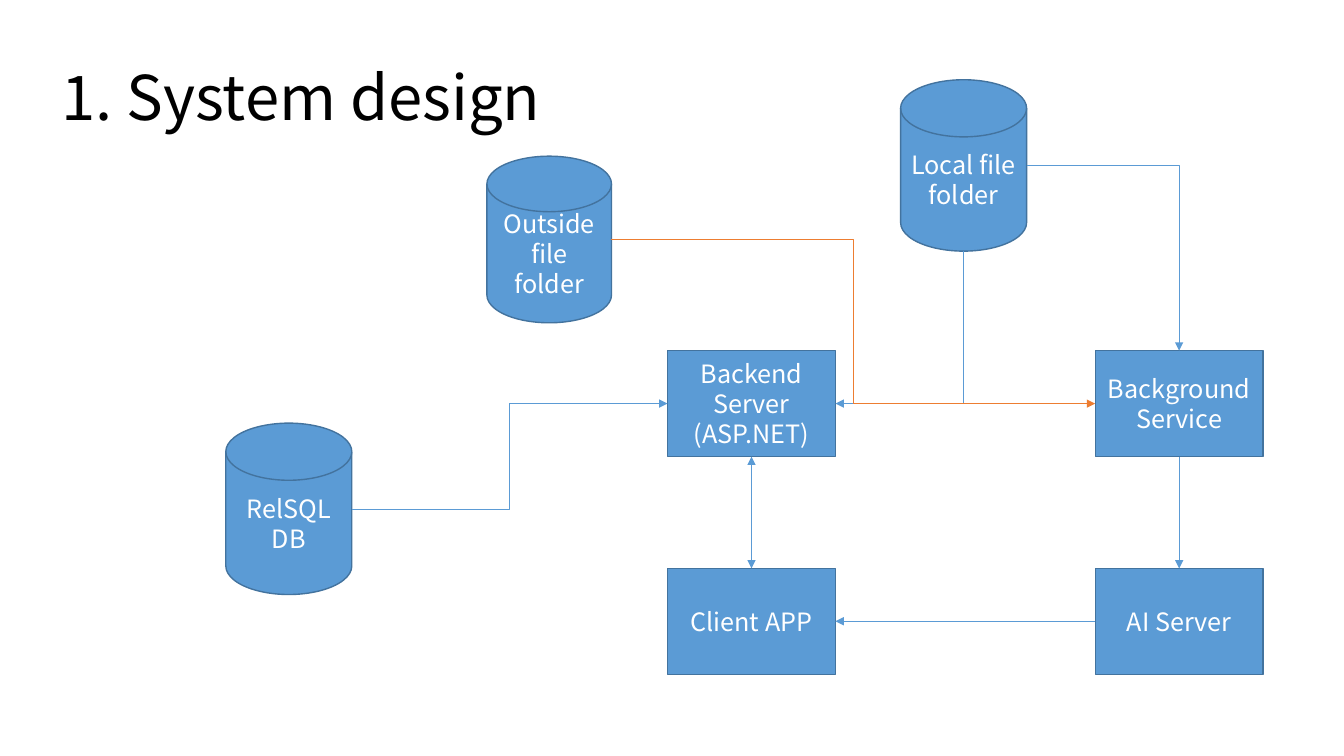
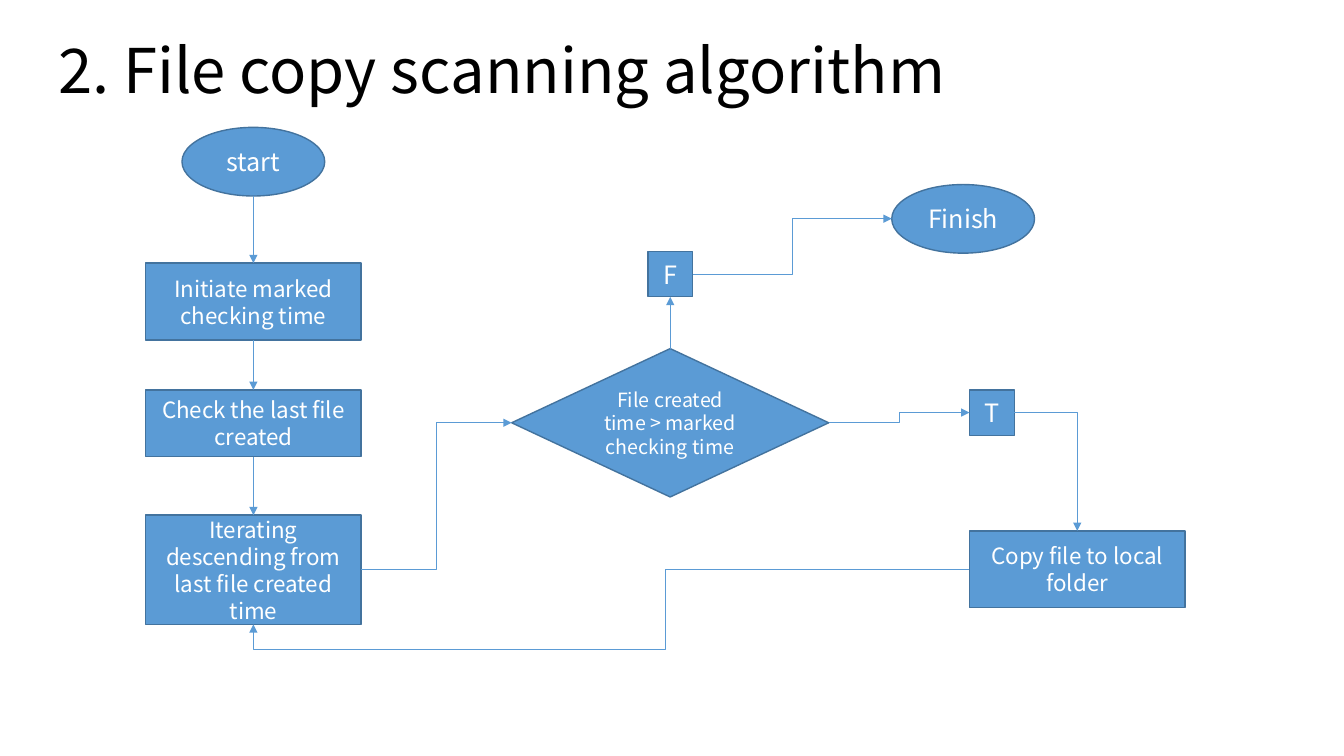
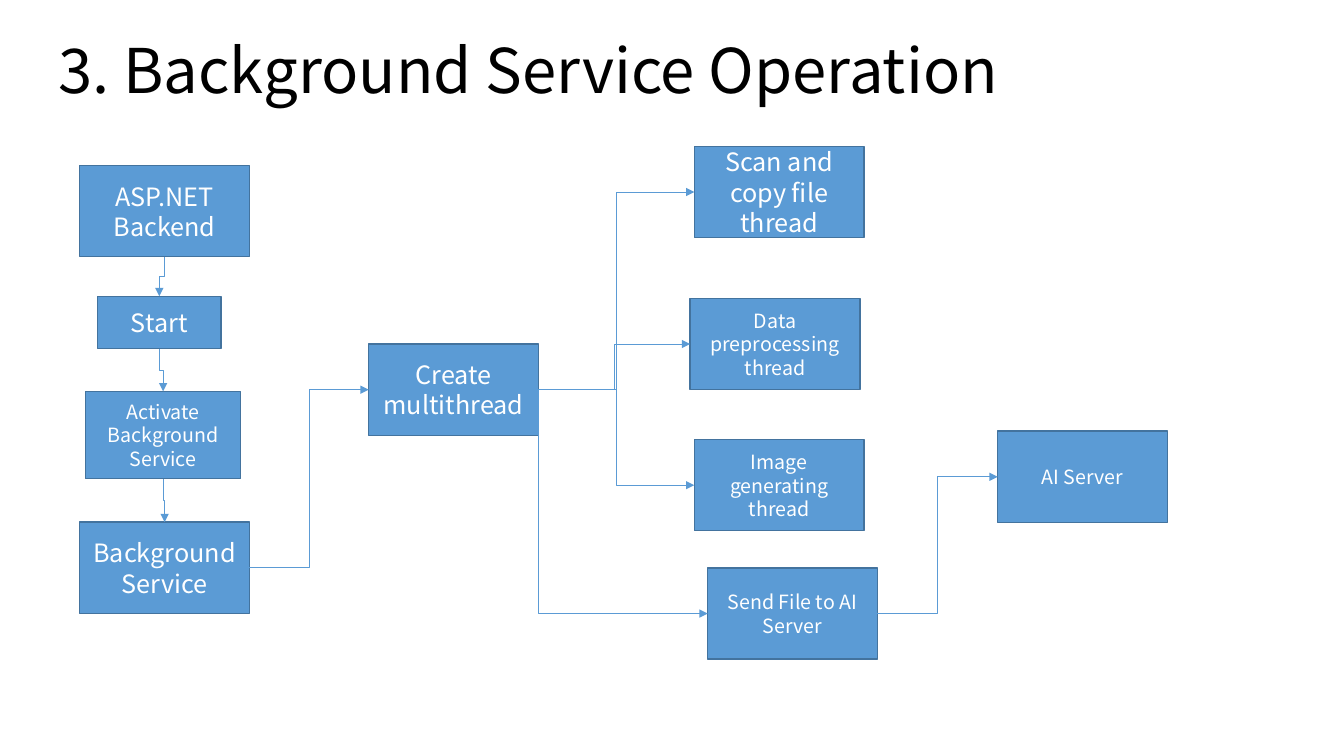
"""Build a three-slide deck of system and process diagrams."""
from dataclasses import dataclass

from lxml import etree
from pptx import Presentation
from pptx.dml.color import RGBColor
from pptx.enum.shapes import MSO_CONNECTOR, MSO_SHAPE
from pptx.enum.text import MSO_ANCHOR, MSO_AUTO_SIZE, PP_ALIGN
from pptx.oxml.ns import qn
from pptx.util import Pt

RECT = MSO_SHAPE.RECTANGLE
OVAL = MSO_SHAPE.OVAL
DISK = MSO_SHAPE.FLOWCHART_MAGNETIC_DISK
DECISION = MSO_SHAPE.FLOWCHART_DECISION
ELBOW, STRAIGHT = MSO_CONNECTOR.ELBOW, MSO_CONNECTOR.STRAIGHT
LEFT, CENTER = PP_ALIGN.LEFT, PP_ALIGN.CENTER
MIDDLE = MSO_ANCHOR.MIDDLE
NO_FIT = MSO_AUTO_SIZE.NONE

SIDES = {"top": (0.5, 0), "left": (0, 0.5), "bottom": (0.5, 1), "right": (1, 0.5)}
SITES = {
    RECT: {"top": 0, "left": 1, "bottom": 2, "right": 3},
    DECISION: {"top": 0, "left": 1, "bottom": 2, "right": 3},
    OVAL: {"top": 0, "left": 2, "bottom": 4, "right": 6},
    DISK: {"top": 1, "left": 2, "bottom": 3, "right": 4},
}


@dataclass(frozen=True)
class Theme:
    """Colours, font and sizes shared by every slide."""
    font: str = "Noto Sans CJK KR"
    text: RGBColor = RGBColor(0x00, 0x00, 0x00)
    on_fill: RGBColor = RGBColor(0xFF, 0xFF, 0xFF)
    fill: RGBColor = RGBColor(0x5B, 0x9B, 0xD5)
    border: RGBColor = RGBColor(0x43, 0x73, 0x9E)
    accent: RGBColor = RGBColor(0xED, 0x7D, 0x31)
    title: int = 44
    large: int = 18
    medium: int = 16
    small: int = 14
    border_width: float = 1
    link_width: float = 0.5


@dataclass(frozen=True)
class Box:
    """A rectangle in points."""
    x: float
    y: float
    w: float
    h: float

    def inner(self, x, y, w, h):
        """Return a box placed relative to this one."""
        return Box(self.x + x, self.y + y, w, h)


T = Theme()


def write(tf, text, size=T.large, color=T.on_fill, align=CENTER, spacing=1.0):
    """Fill a text frame with one formatted paragraph."""
    tf.word_wrap = True
    tf.auto_size = NO_FIT
    tf.vertical_anchor = MIDDLE
    p = tf.paragraphs[0]
    p.alignment = align
    p.line_spacing = spacing
    r = p.add_run()
    r.text = text
    r.font.name = T.font
    r.font.size = Pt(size)
    r.font.color.rgb = color


def titled_slide(prs, text, box):
    """Add a title-only slide with its title in the given box."""
    s = prs.slides.add_slide(prs.slide_layouts[5])
    sp = s.shapes.title
    sp.left, sp.top, sp.width, sp.height = map(Pt, (box.x, box.y, box.w, box.h))
    write(sp.text_frame, text, size=T.title, color=T.text, align=LEFT, spacing=0.9)
    return s


def node(s, text, box, kind=RECT, size=T.large):
    """Add a filled, labelled diagram node."""
    sp = s.shapes.add_shape(kind, *map(Pt, (box.x, box.y, box.w, box.h)))
    sp.shadow.inherit = False
    sp.fill.solid()
    sp.fill.fore_color.rgb = T.fill
    sp.line.color.rgb = T.border
    sp.line.width = Pt(T.border_width)
    write(sp.text_frame, text, size=size)
    return sp


def anchor(sp, side):
    """Return the midpoint of one side of a shape, in points."""
    fx, fy = SIDES[side]
    return sp.left.pt + fx * sp.width.pt, sp.top.pt + fy * sp.height.pt


def glue(line, tag, sp, side):
    """Attach one end of a connector to a side of a shape."""
    holder = line.element.find(".//" + qn("p:cNvCxnSpPr"))
    site = SITES[sp.auto_shape_type][side]
    etree.SubElement(holder, qn(tag), id=str(sp.shape_id), idx=str(site))


def link(s, start, side, end, end_side, color=T.fill, adj=(), loose_down=False,
         kind=ELBOW, both=False):
    """Connect two nodes with an arrow; loose_down leaves the start unglued, going down."""
    x1, y1 = anchor(start, side)
    x2, y2 = anchor(end, end_side)
    vertical = loose_down or side in ("top", "bottom")
    turned = vertical and kind == ELBOW
    if turned:
        cx, cy, dx, dy = (x1 + x2) / 2, (y1 + y2) / 2, x2 - x1, y2 - y1
        x1, y1, x2, y2 = cx - dy / 2, cy + dx / 2, cx + dy / 2, cy - dx / 2
    line = s.shapes.add_connector(kind, *map(Pt, (x1, y1, x2, y2)))
    if turned:
        line.element.find(".//" + qn("a:xfrm")).set("rot", "5400000")
    if kind == ELBOW:
        geom = line.element.find(".//" + qn("a:prstGeom"))
        same_axis = vertical == (end_side in ("top", "bottom"))
        bends = 4 if len(adj) == 2 else 3 if same_axis else 2
        geom.set("prst", f"bentConnector{bends}")
        for i, value in enumerate(adj, 1):
            etree.SubElement(geom.find(qn("a:avLst")), qn("a:gd"),
                             name=f"adj{i}", fmla=f"val {round(value * 100000)}")
    if not loose_down:
        glue(line, "a:stCxn", start, side)
    glue(line, "a:endCxn", end, end_side)
    line.line.color.rgb = color
    line.line.width = Pt(T.link_width)
    ln = line.element.find(".//" + qn("a:ln"))
    for tag in ("a:headEnd", "a:tailEnd") if both else ("a:tailEnd",):
        etree.SubElement(ln, qn(tag), type="triangle")
    etree.SubElement(line.element.find(qn("p:spPr")), qn("a:effectLst"))


def system_design(s, box):
    """Draw the stores, servers and client of the system."""
    def server(text, col, row):
        """Add a server on the two-by-two grid."""
        return node(s, text, box.inner(315.5 + col * 305.5, 193.5 + row * 155.5, 120, 75.6))

    outside = node(s, "Outside file folder", box.inner(186.5, 54.6, 89, 119), DISK)
    local = node(s, "Local file folder", box.inner(482, 0, 90, 122.4), DISK)
    database = node(s, "RelSQL DB", box.inner(0, 245.3, 90, 122.4), DISK)
    backend = server("Backend Server (ASP.NET)", 0, 0)
    client = server("Client APP", 0, 1)
    ai = server("AI Server", 1, 1)
    background = server("Background Service", 1, 0)

    link(s, database, "right", backend, "left")
    link(s, local, "bottom", backend, "right")
    link(s, local, "right", background, "top")
    link(s, outside, "right", background, "left", color=T.accent)
    link(s, background, "bottom", ai, "top")
    link(s, ai, "left", client, "right")
    link(s, backend, "bottom", client, "top", kind=STRAIGHT, both=True)


def copy_algorithm(s, box):
    """Draw the flowchart of the file copy scan."""
    def step(text, x, y, h):
        """Add a process step."""
        return node(s, text, box.inner(x, y, 154, h), size=T.medium)

    def terminal(text, x, y):
        """Add a start or end point."""
        return node(s, text, box.inner(x, y, 102, 49), OVAL)

    def branch(text, x, y):
        """Add a branch label."""
        return node(s, text, box.inner(x, y, 32, 32.5))

    start = terminal("start", 26, 0)
    initiate = step("Initiate marked checking time", 0, 97, 55)
    check = step("Check the last file created", 0, 187.5, 47.7)
    iterate = step("Iterating descending from last file created time", 0, 277, 78)
    decision = node(s, "File created time > marked checking time",
                    box.inner(261.5, 158, 226.5, 106), DECISION, T.small)
    true = branch("T", 588.5, 187.5)
    false = branch("F", 358.75, 88.5)
    copy_file = step("Copy file to local folder", 588.5, 288.2, 55)
    finish = terminal("Finish", 533, 40.8)

    column = (start, initiate, check, iterate)
    for upper, lower in zip(column, column[1:]):
        link(s, upper, "bottom", lower, "top")
    link(s, iterate, "right", decision, "left")
    link(s, decision, "right", true, "left")
    link(s, true, "right", copy_file, "top")
    link(s, decision, "top", false, "bottom")
    link(s, false, "right", finish, "left")
    link(s, copy_file, "left", iterate, "bottom", adj=(0.425, 1.463))


def service_operation(s, box):
    """Draw the start-up chain and the threads of the background service."""
    def block(text, x, y, size=T.large, w=121.2, h=65.2):
        """Add a block of the standard size unless told otherwise."""
        return node(s, text, box.inner(x, y, w, h), size=size)

    backend = block("ASP.NET Backend", 0, 13.7)
    service = block("Background Service", 0, 268.4)
    start = block("Start", 12.8, 107, w=88, h=37.6)
    activate = block("Activate Background Service", 4, 175, T.small, w=111, h=62.4)
    create = block("Create multithread", 206.4, 141.2)
    scan = block("Scan and copy file thread", 439, 0)
    prepare = block("Data preprocessing thread", 436, 108.6, T.small)
    generate = block("Image generating thread", 439, 209.4, T.small)
    send = block("Send File to AI Server", 448.5, 301, T.small)
    ai = block("AI Server", 655.7, 203.4, T.small)

    chain = (backend, start, activate, service)
    for upper, lower in zip(chain, chain[1:]):
        link(s, upper, "bottom", lower, "top")
    link(s, service, "right", create, "left")
    for thread in (scan, prepare, generate):
        link(s, create, "right", thread, "left")
    link(s, create, "right", send, "left", loose_down=True)
    link(s, send, "right", ai, "left")


def main():
    """Build and save the deck."""
    prs = Presentation()
    prs.slide_width, prs.slide_height = Pt(960), Pt(540)
    high_title = Box(36.7, 19.4, 828, 104.4)
    top_title = Box(34.4, 0, 828, 104.4)
    slides = (
        ("1. System design", high_title, system_design, Box(161.3, 57, 741, 424.6)),
        ("2. File copy scanning algorithm", top_title, copy_algorithm,
         Box(104, 91, 742.5, 373)),
        ("3. Background Service Operation", top_title, service_operation,
         Box(57, 104.6, 776.9, 366.2)),
    )
    for title, title_box, draw, box in slides:
        draw(titled_slide(prs, title, title_box), box)
    prs.save("out.pptx")


main()
